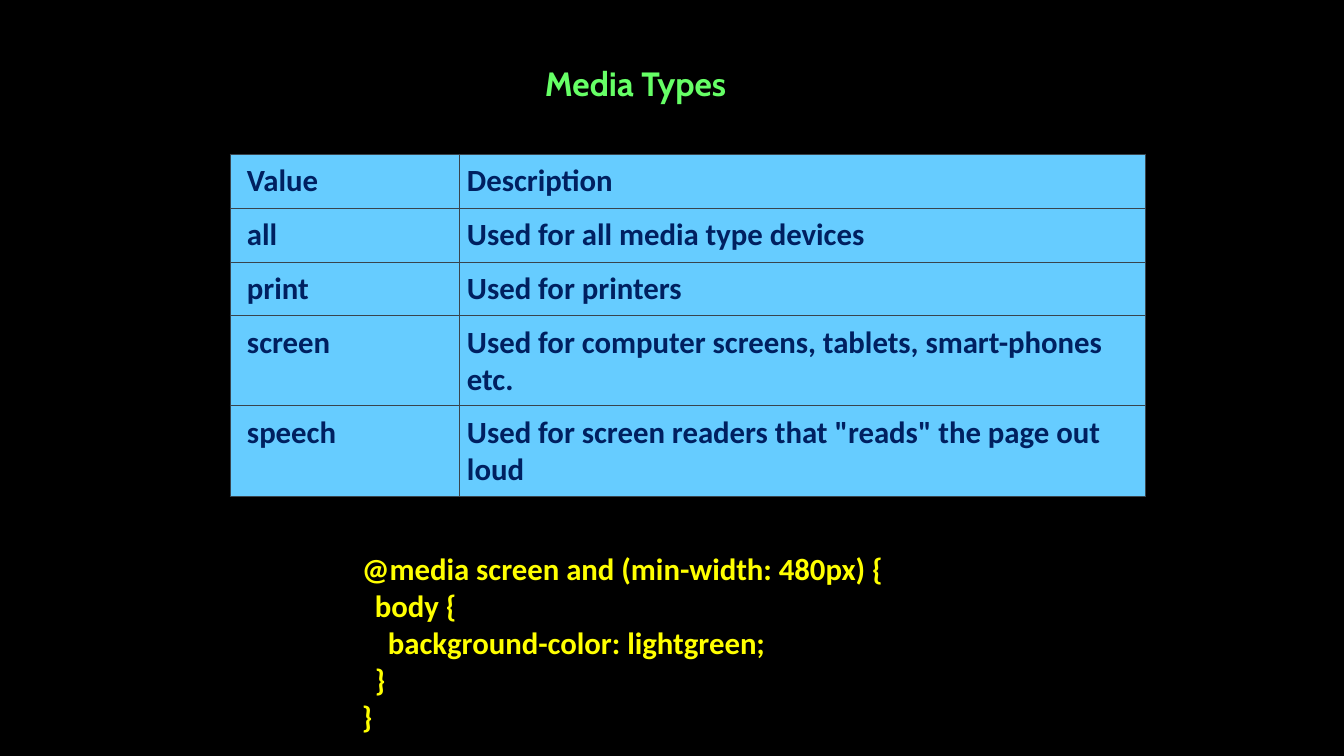
from lxml import etree
from pptx import Presentation
from pptx.dml.color import RGBColor
from pptx.enum.text import MSO_AUTO_SIZE
from pptx.oxml.ns import qn
from pptx.util import Pt

PX = 914400 / 100.8
GROW = MSO_AUTO_SIZE.SHAPE_TO_FIT_TEXT

BLACK = RGBColor(0x00, 0x00, 0x00)
GREEN = RGBColor(0x66, 0xFF, 0x66)
SKY = RGBColor(0x66, 0xCC, 0xFF)
NAVY = RGBColor(0x00, 0x20, 0x60)
YELLOW = RGBColor(0xFF, 0xFF, 0x00)
SLATE = RGBColor(0x38, 0x44, 0x4D)

MEDIA_TYPES = [
    ("Value", "Description"),
    ("all", "Used for all media type devices"),
    ("print", "Used for printers"),
    ("screen", "Used for computer screens, tablets, smart-phones etc."),
    ("speech", 'Used for screen readers that "reads" the page out loud'),
]
COLUMN_WIDTHS = [229, 686]
ROW_HEIGHTS = [54, 54, 54, 90, 91]
LEFT_MARGINS = [17, 8]
CELL_MARGIN = 8

# Each code line with its nesting level
CODE_LINES = [
    ("@media screen and (min-width: 480px) {", 0),
    ("body {", 1),
    ("background-color: lightgreen;", 2),
    ("}", 1),
    ("}", 0),
]
CODE_INDENT = 13


def px(length):
    return round(length * PX)


def format_runs(text_frame, font_name, size, color):
    for paragraph in text_frame.paragraphs:
        for run in paragraph.runs:
            run.font.name = font_name
            run.font.size = Pt(size)
            run.font.bold = True
            run.font.color.rgb = color


def add_text(slide, text, left, top, width, height, wrap):
    box = slide.shapes.add_textbox(px(left), px(top), px(width), px(height))
    text_frame = box.text_frame
    text_frame.text = text
    text_frame.word_wrap = wrap
    text_frame.auto_size = GROW
    return text_frame


def add_code(slide, lines, left, top, width, height):
    """Add code lines, each indented by its nesting level."""
    text = "\n".join(line for line, level in lines)
    text_frame = add_text(slide, text, left, top, width, height, True)
    for paragraph, (line, level) in zip(text_frame.paragraphs, lines):
        properties = paragraph._p.get_or_add_pPr()
        properties.set("marL", str(px(level * CODE_INDENT)))
        properties.set("indent", "0")
    format_runs(text_frame, "Calibri", 22, YELLOW)


def set_borders(cell, color, width):
    properties = cell._tc.get_or_add_tcPr()
    for position, side in enumerate(("a:lnL", "a:lnR", "a:lnT", "a:lnB")):
        line = etree.Element(qn(side), w=str(Pt(width)))
        fill = etree.SubElement(line, qn("a:solidFill"))
        etree.SubElement(fill, qn("a:srgbClr"), val=str(color))
        properties.insert(position, line)


def format_cell(cell, text, left_margin):
    cell.text_frame.text = text
    format_runs(cell.text_frame, "Calibri", 22, NAVY)
    cell.margin_left = px(left_margin)
    cell.margin_top = cell.margin_right = cell.margin_bottom = px(CELL_MARGIN)
    cell.fill.solid()
    cell.fill.fore_color.rgb = SKY
    set_borders(cell, SLATE, 0.75)


def add_media_table(slide, left, top):
    frame = slide.shapes.add_table(
        len(ROW_HEIGHTS), len(COLUMN_WIDTHS), px(left), px(top),
        px(sum(COLUMN_WIDTHS)), px(sum(ROW_HEIGHTS)))
    table = frame.table
    for column, width in zip(table.columns, COLUMN_WIDTHS):
        column.width = px(width)
    for row, height, texts in zip(table.rows, ROW_HEIGHTS, MEDIA_TYPES):
        row.height = px(height)
        for cell, text, margin in zip(row.cells, texts, LEFT_MARGINS):
            format_cell(cell, text, margin)


def main():
    presentation = Presentation()
    presentation.slide_width = px(1344)
    presentation.slide_height = px(756)
    slide = presentation.slides.add_slide(presentation.slide_layouts[6])
    slide.background.fill.solid()
    slide.background.fill.fore_color.rgb = BLACK

    title = add_text(slide, "Media Types", 535, 58, 221, 50, False)
    format_runs(title, "Cabin", 24, GREEN)
    add_media_table(slide, 230, 154)
    add_code(slide, CODE_LINES, 352, 545, 672, 197)

    presentation.save("out.pptx")


if __name__ == "__main__":
    main()
